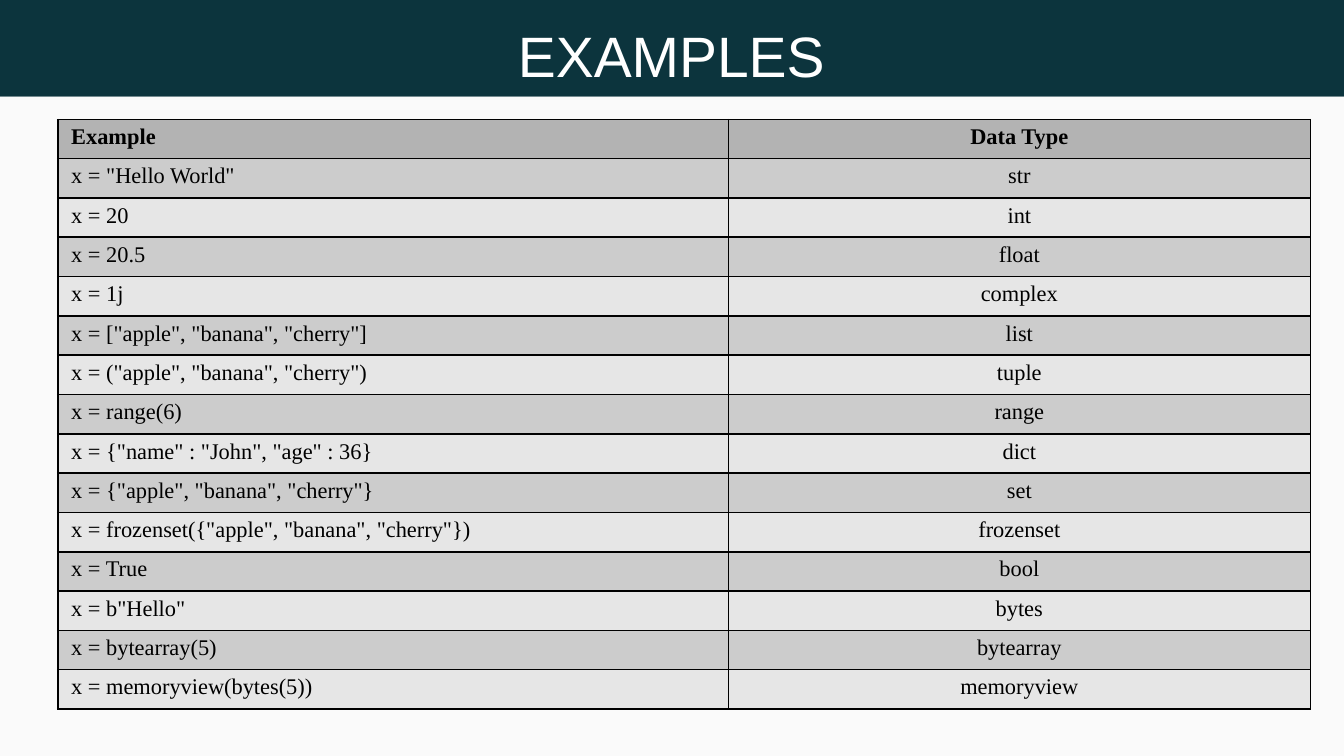
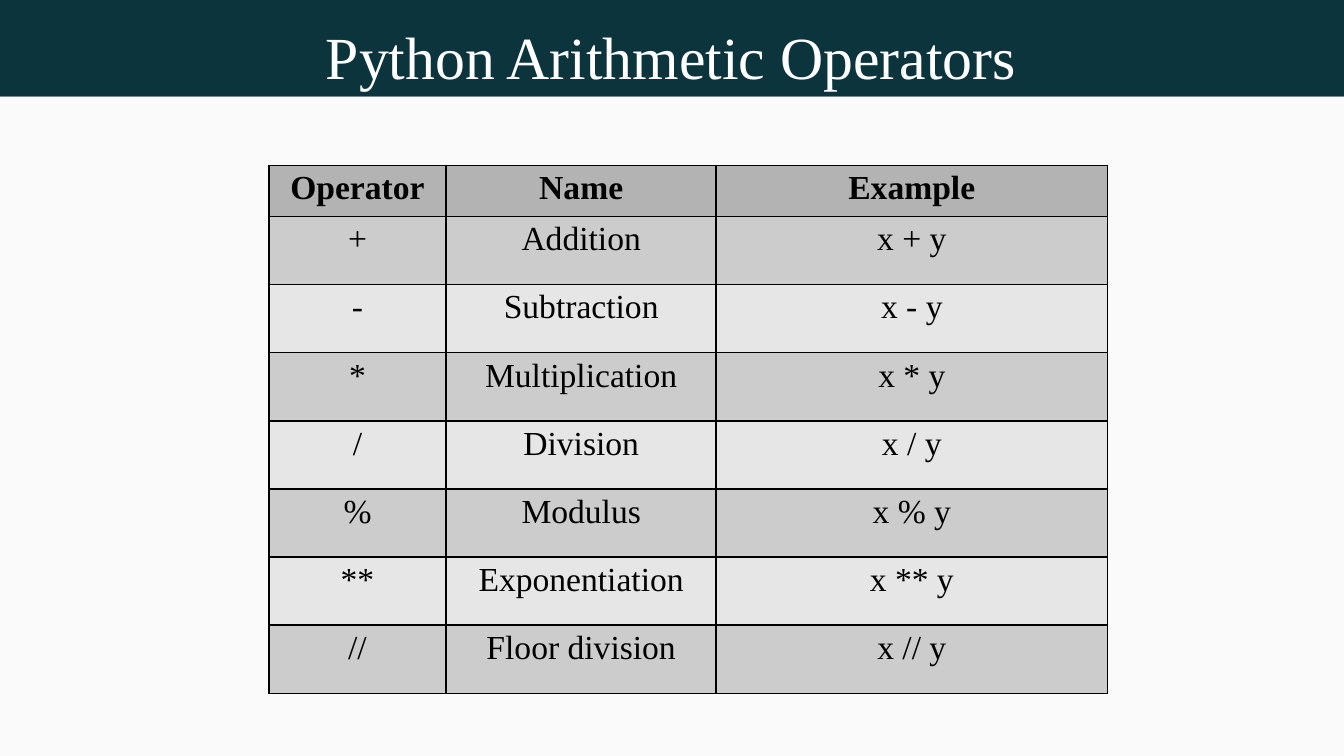
from dataclasses import dataclass

from lxml import etree
from pptx import Presentation
from pptx.dml.color import RGBColor
from pptx.enum.shapes import MSO_SHAPE
from pptx.enum.text import MSO_ANCHOR, MSO_AUTO_SIZE, PP_ALIGN
from pptx.oxml.ns import qn
from pptx.util import Inches, Pt

RECTANGLE = MSO_SHAPE.RECTANGLE
TOP = MSO_ANCHOR.TOP
NO_AUTOFIT = MSO_AUTO_SIZE.NONE
LEFT, CENTER = PP_ALIGN.LEFT, PP_ALIGN.CENTER

SERIF, SANS = "Times New Roman", "Arial"
TEAL, PAPER, WHITE, BLACK = "0C343D", "FAFAFA", "FFFFFF", "000000"
HEADER_FILL = "B3B3B3"
ROW_FILLS = ("CCCCCC", "E6E6E6")

PAGE_WIDTH = 10
PAGE_HEIGHT = PAGE_WIDTH * 9 / 16
BAND_HEIGHT = 0.72
BORDER_WIDTH = Pt(0.96)
TITLE_ONLY = 5


@dataclass(frozen=True)
class Title:
    text: str
    font: str
    size: float
    height: float


@dataclass(frozen=True)
class Grid:
    left: float
    top: float
    height: float
    header_height: float
    column_widths: tuple[float, ...]
    alignments: tuple[PP_ALIGN, ...]
    size: float
    rows: tuple[tuple[str, ...], ...]


TYPE_TITLE = Title("EXAMPLES", SANS, 30.5, 0.51)
TYPE_GRID = Grid(
    0.43, 0.89, 4.39, 0.29, (4.99, 4.33), (LEFT, CENTER), 12,
    (
        ("Example", "Data Type"),
        ('x = "Hello World"', "str"),
        ("x = 20", "int"),
        ("x = 20.5", "float"),
        ("x = 1j", "complex"),
        ('x = ["apple", "banana", "cherry"]', "list"),
        ('x = ("apple", "banana", "cherry")', "tuple"),
        ("x = range(6)", "range"),
        ('x = {"name" : "John", "age" : 36}', "dict"),
        ('x = {"apple", "banana", "cherry"}', "set"),
        ('x = frozenset({"apple", "banana", "cherry"})', "frozenset"),
        ("x = True", "bool"),
        ('x = b"Hello"', "bytes"),
        ("x = bytearray(5)", "bytearray"),
        ("x = memoryview(bytes(5))", "memoryview"),
    ),
)

OPERATORS = (
    ("+", "Addition"),
    ("-", "Subtraction"),
    ("*", "Multiplication"),
    ("/", "Division"),
    ("%", "Modulus"),
    ("**", "Exponentiation"),
    ("//", "Floor division"),
)
OPERATOR_TITLE = Title("Python Arithmetic Operators", SERIF, 32, 0.54)
OPERATOR_GRID = Grid(
    2, 1.23, 3.93, 0.38, (1.32, 2.01, 2.91), (CENTER,) * 3, 18,
    (("Operator", "Name", "Example"),)
    + tuple((sign, name, f"x {sign} y") for sign, name in OPERATORS),
)


def rgb(color: str) -> RGBColor:
    return RGBColor.from_string(color)


def style_paragraph(para, font: str, size: float, color: str, bold: bool, alignment) -> None:
    para.alignment = alignment
    para.font.name = font
    para.font.size = Pt(size)
    para.font.bold = bold
    para.font.color.rgb = rgb(color)


def add_panel(page, top: float, height: float, color: str) -> None:
    """Add a full-width panel behind the title placeholder."""
    panel = page.shapes.add_shape(
        RECTANGLE, 0, Inches(top), Inches(PAGE_WIDTH), Inches(height)
    )
    panel.shadow.inherit = False
    panel.fill.solid()
    panel.fill.fore_color.rgb = rgb(color)
    panel.line.fill.background()
    page.shapes.title._element.addprevious(panel._element)


def set_title(page, title: Title) -> None:
    box = page.shapes.title
    box.left, box.top = Inches(0.39), Inches(0.15)
    box.width, box.height = Inches(9.21), Inches(title.height)
    frame = box.text_frame
    frame.text = title.text
    frame.margin_left = frame.margin_right = frame.margin_top = frame.margin_bottom = 0
    frame.vertical_anchor = TOP
    frame.auto_size = NO_AUTOFIT
    frame.word_wrap = True
    style_paragraph(frame.paragraphs[0], title.font, title.size, WHITE, False, CENTER)


def add_borders(cell) -> None:
    properties = cell._tc.get_or_add_tcPr()
    for side in ("a:lnL", "a:lnR", "a:lnT", "a:lnB"):
        line = etree.SubElement(properties, qn(side), w=str(BORDER_WIDTH))
        fill = etree.SubElement(line, qn("a:solidFill"))
        etree.SubElement(fill, qn("a:srgbClr"), val=BLACK)


def add_grid(page, grid: Grid) -> None:
    row_height = (grid.height - grid.header_height) / (len(grid.rows) - 1)
    table = page.shapes.add_table(
        len(grid.rows), len(grid.column_widths), Inches(grid.left), Inches(grid.top),
        Inches(sum(grid.column_widths)), Inches(grid.height),
    ).table
    for column, width in zip(table.columns, grid.column_widths):
        column.width = Inches(width)
    for index, (row, texts) in enumerate(zip(table.rows, grid.rows)):
        is_header = index == 0
        row.height = Inches(grid.header_height if is_header else row_height)
        color = HEADER_FILL if is_header else ROW_FILLS[(index - 1) % 2]
        for cell, text, alignment in zip(row.cells, texts, grid.alignments):
            add_borders(cell)
            cell.fill.solid()
            cell.fill.fore_color.rgb = rgb(color)
            cell.text = text
            para = cell.text_frame.paragraphs[0]
            para.line_spacing = 0.93
            style_paragraph(para, SERIF, grid.size, BLACK, is_header, alignment)


def add_page(deck, title: Title, grid: Grid) -> None:
    page = deck.slides.add_slide(deck.slide_layouts[TITLE_ONLY])
    add_panel(page, 0, BAND_HEIGHT, TEAL)
    add_panel(page, BAND_HEIGHT, PAGE_HEIGHT - BAND_HEIGHT, PAPER)
    set_title(page, title)
    add_grid(page, grid)


def main() -> None:
    deck = Presentation()
    deck.slide_width, deck.slide_height = Inches(PAGE_WIDTH), Inches(PAGE_HEIGHT)
    add_page(deck, TYPE_TITLE, TYPE_GRID)
    add_page(deck, OPERATOR_TITLE, OPERATOR_GRID)
    deck.save("out.pptx")


if __name__ == "__main__":
    main()
